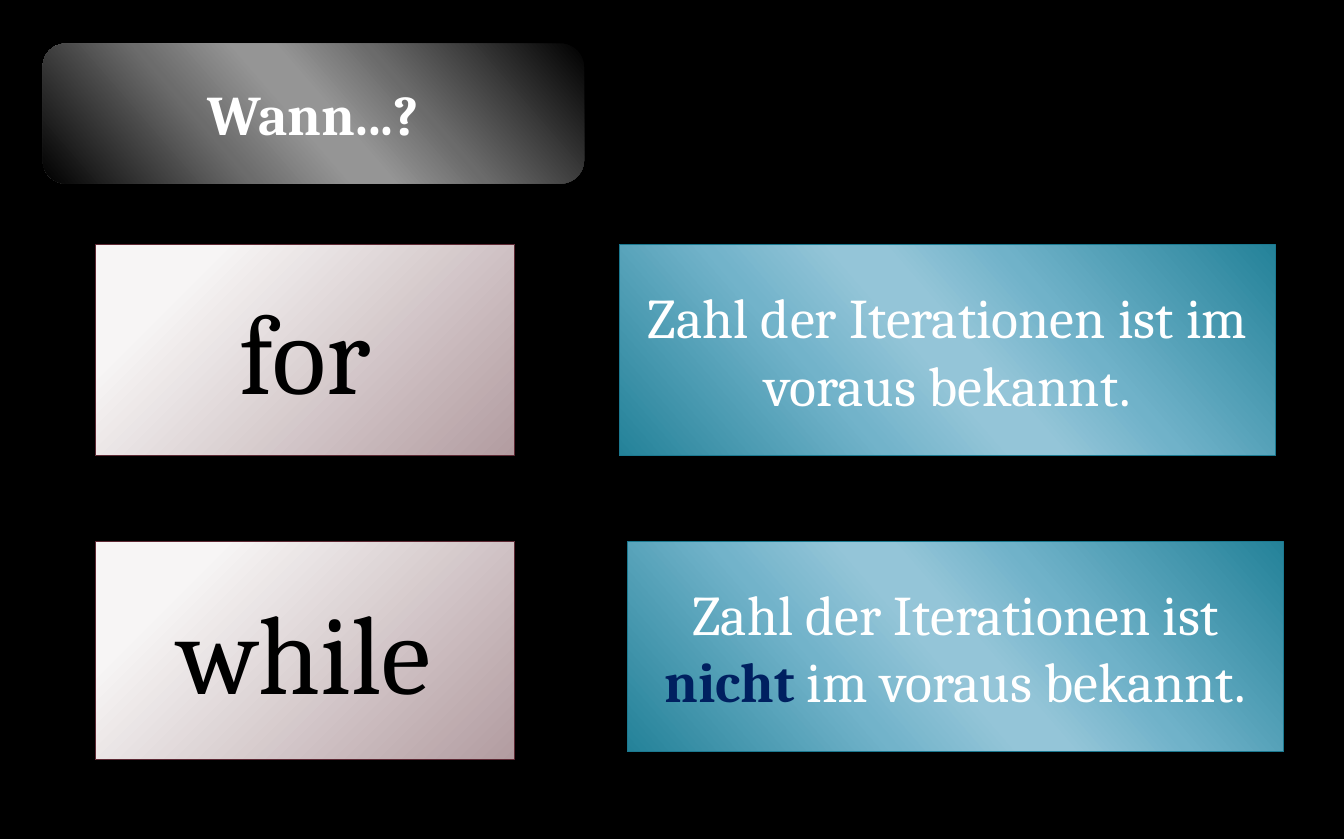
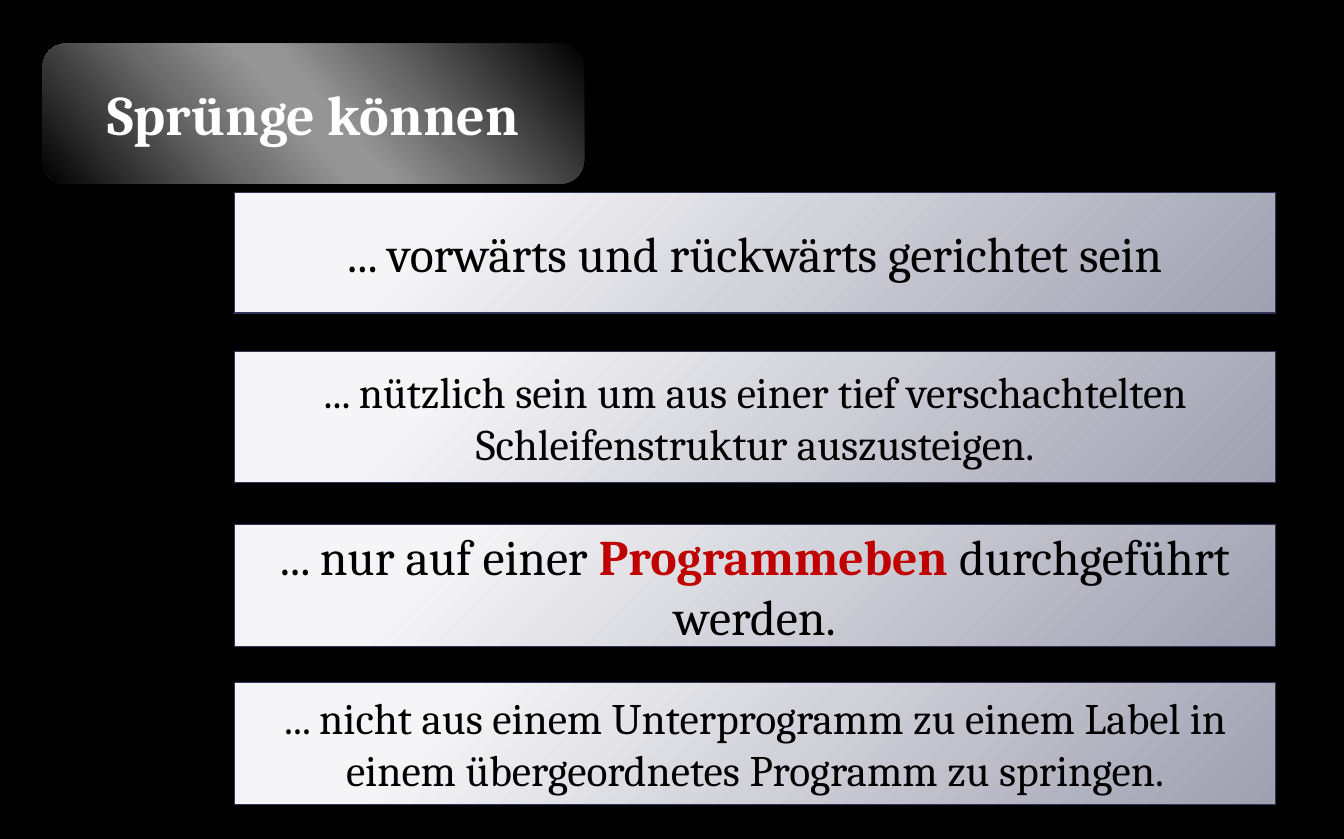
from dataclasses import dataclass

from pptx import Presentation
from pptx.dml.color import RGBColor
from pptx.enum.shapes import MSO_SHAPE
from pptx.enum.text import MSO_ANCHOR, PP_ALIGN
from pptx.oxml import parse_xml
from pptx.oxml.ns import nsdecls, qn
from pptx.util import Cm, Pt


@dataclass(frozen=True)
class Style:
    """Look of one kind of box: gradient stops, outline and text colour."""
    stops: tuple
    text: str
    outline: str = ""
    corner_glow: bool = False


@dataclass(frozen=True)
class Theme:
    font: str = "Cambria"
    background: str = "000000"
    navy: str = "002060"
    red: str = "C00000"
    keyword_size: int = 72
    heading_size: int = 36
    large_size: int = 32
    body_size: int = 28
    outline_width: float = 0.75
    title: Style = Style(
        ((0, "000000"), (33, "6B6B6B"), (47, "959595"),
         (53, "959595"), (68, "6C6C6C"), (100, "000000")), "FFFFFF")
    keyword: Style = Style(
        ((20, "F7F5F5"), (100, "B29CA0")), "000000", "5D2934", True)
    answer: Style = Style(
        ((0, "248299"), (33, "70B2C9"), (47, "94C5D8"),
         (53, "94C5D8"), (68, "72B3CA"), (100, "248299")), "FFFFFF", "1B7990")
    bar: Style = Style(
        ((20, "F5F5F7"), (100, "9FA0B0")), "000000", "323559", True)


THEME = Theme()


def fill_gradient(shape, style):
    """Fill diagonally, or outwards from the top left corner."""
    stops = "".join(
        f'<a:gs pos="{position * 1000}"><a:srgbClr val="{color}"/></a:gs>'
        for position, color in style.stops)
    if style.corner_glow:
        course = ('<a:path path="circle"><a:fillToRect l="-15000" t="-15000" '
                  'r="115000" b="115000"/></a:path>')
    else:
        course = '<a:lin ang="8340000" scaled="1"/>'
    gradient = parse_xml(
        f'<a:gradFill {nsdecls("a")} rotWithShape="1">'
        f'<a:gsLst>{stops}</a:gsLst>{course}</a:gradFill>')
    shape.fill.background()
    properties = shape.element.spPr
    properties.replace(properties.find(qn("a:noFill")), gradient)


def add_span(para, text, *, size, color, bold=False):
    span = para.add_run()
    span.text = text
    span.font.name = THEME.font
    span.font.size = Pt(size)
    span.font.bold = bold
    span.font.color.rgb = RGBColor.from_string(color)


def add_box(page, style, place, kind=MSO_SHAPE.RECTANGLE):
    """Draw an empty box at place (left, top, width, height in cm)."""
    box = page.shapes.add_shape(kind, *map(Cm, place))
    box.shadow.inherit = False
    fill_gradient(box, style)
    if style.outline:
        box.line.color.rgb = RGBColor.from_string(style.outline)
        box.line.width = Pt(THEME.outline_width)
    else:
        box.line.fill.background()
    frame = box.text_frame
    frame.word_wrap = True
    frame.vertical_anchor = MSO_ANCHOR.MIDDLE
    frame.paragraphs[0].alignment = PP_ALIGN.CENTER
    return box


def add_text_box(page, style, place, size, text, accent=""):
    """Draw a box; the word between asterisks is bold in the accent colour."""
    para = add_box(page, style, place).text_frame.paragraphs[0]
    for index, part in enumerate(text.split("*")):
        marked = index % 2 == 1
        add_span(para, part, size=size, bold=marked,
                 color=accent if marked else style.text)


def add_page(deck, title):
    page = deck.slides.add_slide(deck.slide_layouts[6])
    box = add_box(page, THEME.title, (0.97, 0.99, 12.29, 3.18),
                  MSO_SHAPE.ROUNDED_RECTANGLE)
    add_span(box.text_frame.paragraphs[0], title, size=THEME.heading_size,
             color=THEME.title.text, bold=True)
    return page


def build_loop_choice(deck):
    page = add_page(deck, "Wann...?")
    rows = (
        (5.56, "for", 4.78, 14.07,
         "Zahl der Iterationen ist im voraus bekannt."),
        (12.29, "while", 4.95, 14.25,
         "Zahl der Iterationen ist *nicht* im voraus bekannt."),
    )
    for top, keyword, keyword_height, answer_left, answer in rows:
        add_text_box(page, THEME.keyword, (2.16, top, 9.53, keyword_height),
                     THEME.keyword_size, keyword)
        add_text_box(page, THEME.answer, (answer_left, top, 14.88, 4.78),
                     THEME.heading_size, answer, THEME.navy)


def build_jump_rules(deck):
    page = add_page(deck, "Sprünge können")
    bars = (
        (4.37, 2.74, THEME.large_size,
         "... vorwärts und rückwärts gerichtet sein"),
        (7.98, 2.97, THEME.body_size,
         "... nützlich sein um aus einer tief verschachtelten "
         "Schleifenstruktur auszusteigen."),
        (11.91, 2.77, THEME.large_size,
         "... nur auf einer *Programmeben* durchgeführt werden."),
        (15.49, 2.77, THEME.body_size,
         "... nicht aus einem Unterprogramm zu einem Label in einem "
         "übergeordnetes Programm zu springen."),
    )
    for top, height, size, text in bars:
        add_text_box(page, THEME.bar, (5.33, top, 23.62, height),
                     size, text, THEME.red)


def main():
    deck = Presentation()
    deck.slide_width, deck.slide_height = Cm(30.51), Cm(19.05)
    backdrop = deck.slide_master.background.fill
    backdrop.solid()
    backdrop.fore_color.rgb = RGBColor.from_string(THEME.background)
    build_loop_choice(deck)
    build_jump_rules(deck)
    deck.save("out.pptx")


if __name__ == "__main__":
    main()
